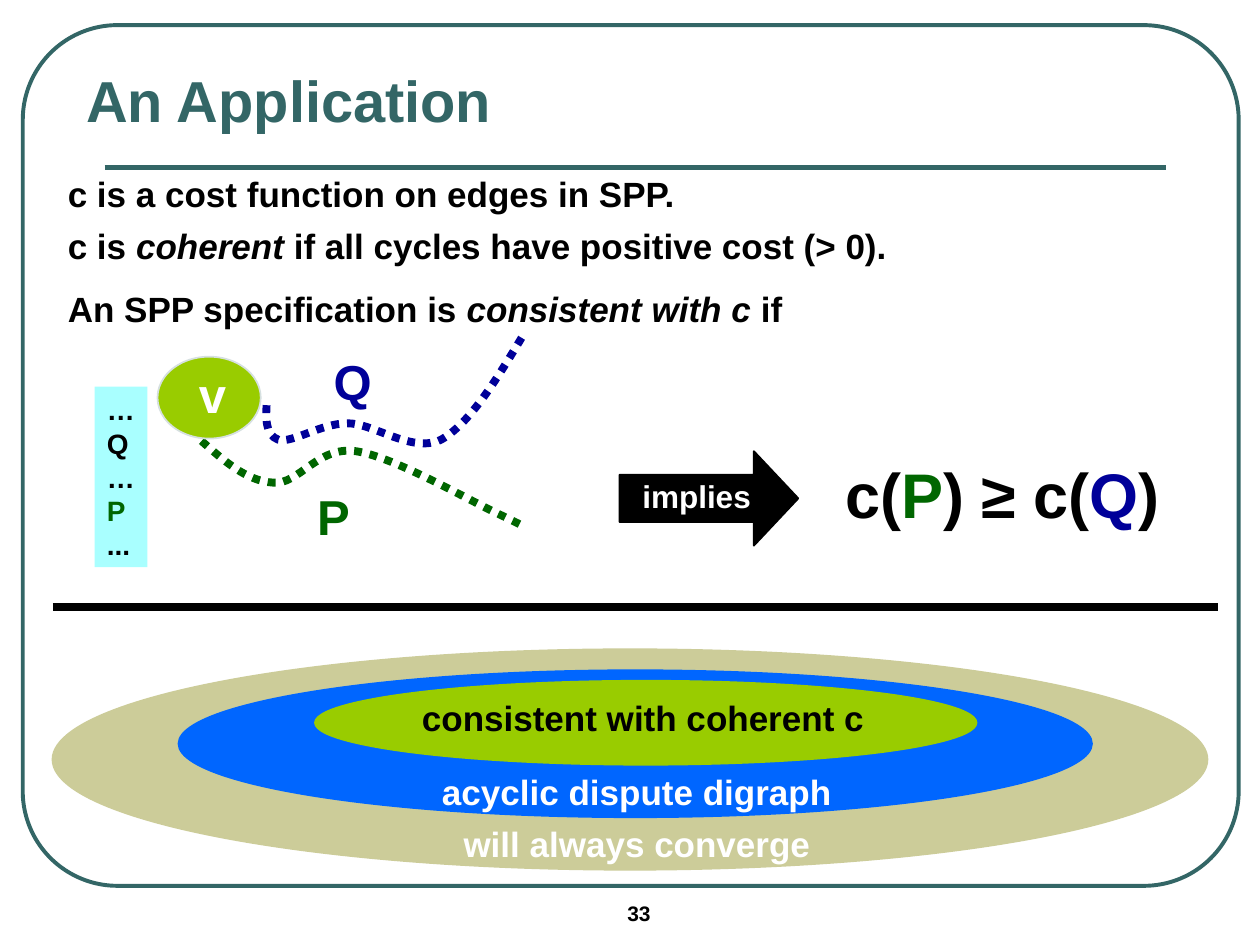
from dataclasses import dataclass

from lxml.etree import SubElement
from pptx import Presentation
from pptx.dml.color import RGBColor
from pptx.enum.dml import MSO_LINE
from pptx.enum.shapes import MSO_CONNECTOR, MSO_SHAPE
from pptx.enum.text import MSO_ANCHOR, MSO_AUTO_SIZE, PP_ALIGN
from pptx.oxml.ns import qn
from pptx.util import Pt


@dataclass(frozen=True)
class Theme:
    font = "Arial"
    teal = RGBColor.from_string("336666")
    black = RGBColor.from_string("000000")
    white = RGBColor.from_string("FFFFFF")
    green = RGBColor.from_string("006600")
    navy = RGBColor.from_string("000099")
    lime = RGBColor.from_string("99CC00")
    blue = RGBColor.from_string("0066FF")
    sand = RGBColor.from_string("CCCC99")
    cyan = RGBColor.from_string("A9FFFF")
    pale = RGBColor.from_string("D6E0E0")
    title, formula, label, body = Pt(33), Pt(36), Pt(28), Pt(20)
    arrow, ranking, number = Pt(18), Pt(16), Pt(12)


theme = Theme()
deck = Presentation()
deck.slide_width, deck.slide_height = Pt(720), Pt(540)
page = deck.slides.add_slide(deck.slide_layouts[5])


def add_text(bounds, size, *lines, color=theme.black, wrap=False):
    """Add bold text; a line is a string or a list of (text, colour, italic)."""
    box = page.shapes.add_textbox(*map(Pt, bounds))
    frame = box.text_frame
    frame.word_wrap = wrap
    frame.auto_size = MSO_AUTO_SIZE.NONE if wrap else MSO_AUTO_SIZE.SHAPE_TO_FIT_TEXT
    for index, line in enumerate(lines):
        para = frame.add_paragraph() if index else frame.paragraphs[0]
        para.font.name, para.font.size, para.font.bold = theme.font, size, True
        spans = [(line, color, False)] if isinstance(line, str) else line
        for text, span_color, italic in spans:
            span = para.add_run()
            span.text = text
            span.font.color.rgb = span_color
            if italic:
                span.font.italic = True
    return box


def add_shape(kind, bounds, fill, line, width=1):
    shape = page.shapes.add_shape(kind, *map(Pt, bounds))
    shape.shadow.inherit = False
    if fill is None:
        shape.fill.background()
    else:
        shape.fill.solid()
        shape.fill.fore_color.rgb = fill
    shape.line.color.rgb = line
    shape.line.width = Pt(width)
    return shape


# Frame and rules
border = add_shape(MSO_SHAPE.ROUNDED_RECTANGLE, (13, 14.4, 694.8, 491.8), None, theme.teal, 2.25)
border.adjustments[0] = 0.11
for left, right, y, color, width in [
    (59.8, 666, 95.8, theme.teal, 3),
    (30.2, 696.2, 347, theme.black, 4.5),
]:
    rule = page.shapes.add_connector(MSO_CONNECTOR.STRAIGHT, Pt(left), Pt(y), Pt(right), Pt(y))
    rule.line.color.rgb = color
    rule.line.width = Pt(width)
    SubElement(rule._element.spPr, qn("a:effectLst"))

# Title and page number
title = page.shapes.title
title.left, title.top, title.width, title.height = Pt(42), Pt(42), Pt(612), Pt(30)
title.text_frame.text = "An Application"
title.text_frame.auto_size = MSO_AUTO_SIZE.NONE
title.text_frame.vertical_anchor = MSO_ANCHOR.MIDDLE
heading = title.text_frame.paragraphs[0]
heading.alignment = PP_ALIGN.LEFT
heading.font.name, heading.font.size, heading.font.bold = theme.font, theme.title, True
heading.font.color.rgb = theme.teal
add_text((351.4, 511.2, 84.2, 23.8), theme.number, "33", wrap=True)

# Definitions, in boxes wide enough to keep each on one line
for top, before, term, after in [
    (95, "c is a cost function on edges in SPP.", "", ""),
    (124.6, "c is ", "coherent", " if all cycles have positive cost (> 0)."),
    (160.6, "An SPP specification is ", "consistent with c", " if"),
]:
    spans = [(before, theme.black, False), (term, theme.black, True), (after, theme.black, False)]
    add_text((31.7, top, 520, 31.7), theme.body, [span for span in spans if span[0]], wrap=True)

# Ranking of paths at v
ranking = add_text((54, 221, 30.2, 103), theme.ranking,
                   "…", "Q", "…", [("P", theme.green, False)], "...")
ranking.fill.solid()
ranking.fill.fore_color.rgb = theme.cyan

# Dotted paths: a start point, then three points for each Bézier piece
path_p = [(115.2, 252),
          (128.2, 263.5), (141.1, 275), (156.2, 275.8),
          (170.6, 277.2), (181.4, 254.9), (203, 257.8),
          (224.6, 260.6), (269.3, 286.6), (285.1, 293.8),
          (300.2, 301), (298.1, 300.2), (296.6, 299.5)]
path_q = [(298.1, 193),
          (283, 218.2), (267.8, 242.6), (252, 251.3),
          (235.4, 259.2), (213.8, 241.9), (198.7, 241.9),
          (183.6, 241.9), (167, 253.4), (159.1, 251.3),
          (151.2, 248.4), (151.9, 238.3), (152.6, 228.2)]
for points, color in [(path_p, theme.green), (path_q, theme.navy)]:
    start, *rest = [(Pt(x), Pt(y)) for x, y in points]
    builder = page.shapes.build_freeform(*start)
    builder.add_line_segments(rest, close=False)
    curve = builder.convert_to_shape()
    curve.shadow.inherit = False
    curve.fill.background()
    curve.line.color.rgb = color
    curve.line.width = Pt(4.5)
    curve.line.dash_style = MSO_LINE.ROUND_DOT
    # Merge each three straight segments into one cubic piece
    segments = list(curve._element.iter(qn("a:lnTo")))
    for first, *others in zip(segments[::3], segments[1::3], segments[2::3]):
        first.tag = qn("a:cubicBezTo")
        for other in others:
            first.append(other[0])
            other.getparent().remove(other)

# Node and path labels
add_shape(MSO_SHAPE.OVAL, (90, 203.8, 59, 46.8), theme.lime, theme.pale)
for text, bounds, color in [
    ("v", (106.6, 204.5, 30.2, 41), theme.white),
    ("Q", (183.6, 197.3, 36, 41), theme.navy),
    ("P", (174.2, 274.3, 33.1, 41), theme.green),
]:
    add_text(bounds, theme.label, text, color=color)

# Implication
arrow = add_shape(MSO_SHAPE.RIGHT_ARROW, (354, 257.8, 102.2, 54), theme.black, theme.black)
arrow.adjustments[1] = 0.47
add_text((360, 269.3, 76.3, 28.8), theme.arrow, "implies", color=theme.white)
add_text((475.9, 257, 203, 50.4), theme.formula,
         [("c(", theme.black, False), ("P", theme.green, False), (") ≥ c(", theme.black, False),
          ("Q", theme.navy, False), (")", theme.black, False)])

# Nested classes, from outside in
for bounds, fill, text, text_bounds, color in [
    ((30, 371, 660, 126), theme.sand, "will always converge",
     (257.8, 466.6, 218.2, 31.7), theme.white),
    ((102, 383, 522, 84), theme.blue, "acyclic dispute digraph",
     (245.5, 437, 242.6, 31.7), theme.white),
    ((180, 389, 378, 48), theme.lime, "consistent with coherent c",
     (234, 394.6, 267, 31.7), theme.black),
]:
    add_shape(MSO_SHAPE.OVAL, bounds, fill, fill)
    add_text(text_bounds, theme.body, text, color=color)

deck.save("out.pptx")
